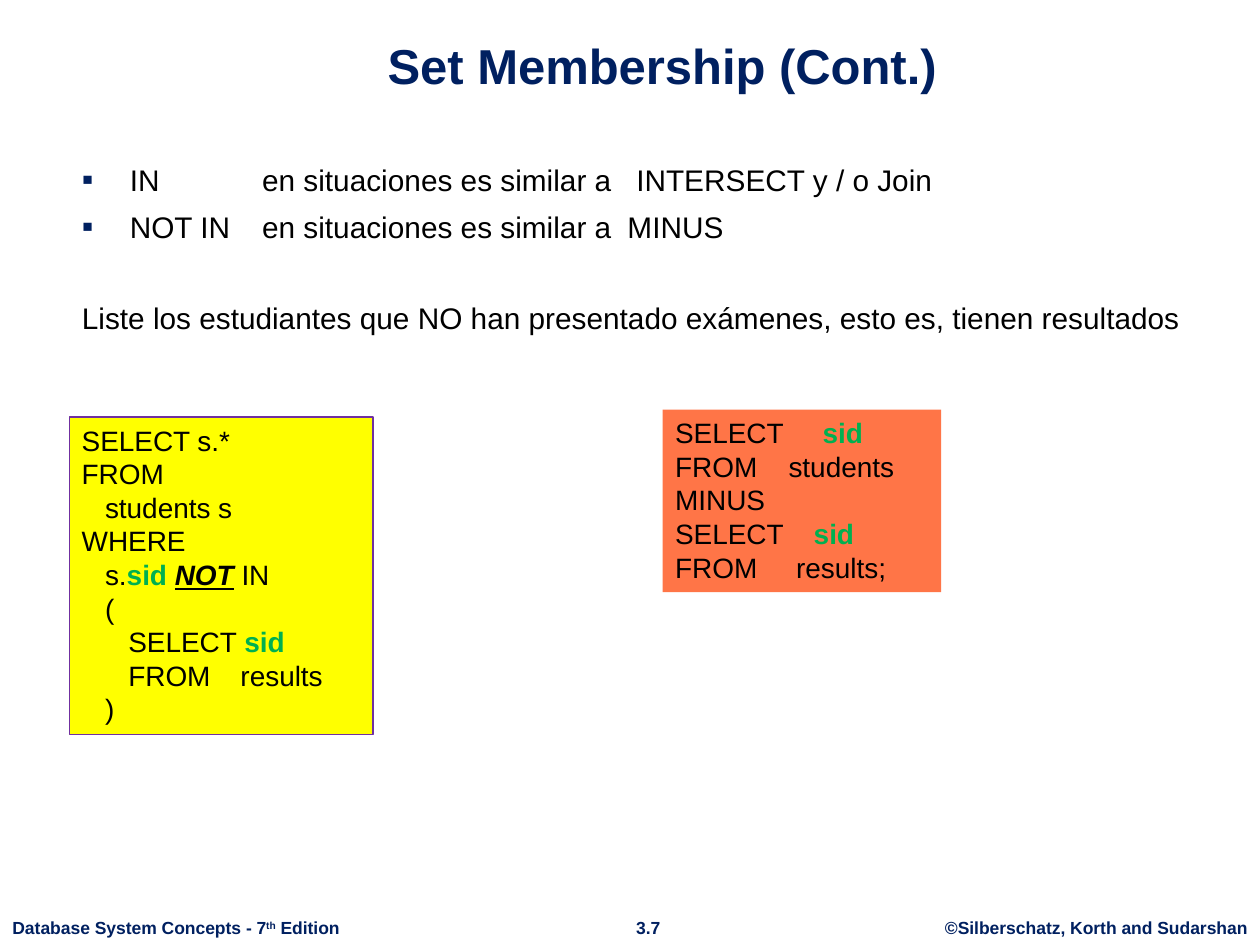
from dataclasses import dataclass
from lxml.etree import SubElement
from pptx import Presentation
from pptx.dml.color import RGBColor
from pptx.enum.shapes import MSO_SHAPE
from pptx.enum.text import MSO_ANCHOR, MSO_AUTO_SIZE, PP_ALIGN
from pptx.oxml.ns import qn
from pptx.util import Inches, Pt


@dataclass(frozen=True)
class Theme:
    font: str = "Arial"
    navy: str = "002060"
    black: str = "000000"
    green: str = "00B050"
    yellow: str = "FFFF00"
    orange: str = "FF7547"
    purple: str = "7030A0"
    title_size: int = 28
    body_size: int = 17
    code_size: int = 16
    footer_size: int = 10


theme = Theme()


def style(font, size, color, bold=False):
    font.name = theme.font
    font.size = Pt(size)
    font.bold = bold
    font.color.rgb = RGBColor.from_string(color)


def add_tabs(paragraph, positions):
    if positions:
        tab_list = SubElement(paragraph._p.get_or_add_pPr(), qn("a:tabLst"))
        for position in positions:
            SubElement(tab_list, qn("a:tab"), pos=str(Inches(position)), algn="l")


presentation = Presentation()
presentation.slide_width = Inches(10)
presentation.slide_height = Inches(7.5)
slide = presentation.slides.add_slide(presentation.slide_layouts[1])

title = slide.shapes.title
title.left, title.top, title.width, title.height = map(Inches, (0.84, 0.13, 8.83, 0.67))
title.text_frame.text = "Set Membership (Cont.)"
title.text_frame.vertical_anchor = MSO_ANCHOR.BOTTOM
title.text_frame.auto_size = MSO_AUTO_SIZE.NONE
paragraph = title.text_frame.paragraphs[0]
paragraph.alignment = PP_ALIGN.CENTER
style(paragraph.font, theme.title_size, theme.navy, True)

body = slide.placeholders[1]
body.left, body.top, body.width, body.height = map(Inches, (0.55, 1.23, 9.13, 5.54))
body.text_frame.auto_size = MSO_AUTO_SIZE.NONE
body_lines = [
    ("IN\ten situaciones es similar a\tINTERSECT y / o Join", "▪", 0.38, (1.43, 4.4), 6.5),
    ("NOT IN\ten situaciones es similar a\tMINUS", "▪", 0.38, (1.43, 4.33), 6.5),
    ("Liste los estudiantes que NO han presentado exámenes, esto es, tienen resultados",
     None, 0, (), 32),
]
body.text_frame.text = "\n".join(line[0] for line in body_lines)
for paragraph, (text, bullet, indent, tabs, space) in zip(body.text_frame.paragraphs, body_lines):
    paragraph.space_before = Pt(space)
    properties = paragraph._p.get_or_add_pPr()
    properties.set("marL", str(Inches(indent)))
    properties.set("indent", str(-Inches(indent)))
    if bullet:
        color = SubElement(properties, qn("a:buClr"))
        SubElement(color, qn("a:srgbClr"), val=theme.navy)
        SubElement(properties, qn("a:buSzPct"), val="110000")
        SubElement(properties, qn("a:buFont"), typeface=theme.font)
        SubElement(properties, qn("a:buChar"), char=bullet)
    else:
        SubElement(properties, qn("a:buNone"))
    add_tabs(paragraph, tabs)
    style(paragraph.font, theme.body_size, theme.black)

code_indent = 0.185
membership_query = [
    (0, (), ["SELECT s.*"]),
    (0, (), ["FROM"]),
    (1, (), ["students s"]),
    (0, (), ["WHERE"]),
    (1, (), ["s.", "sid ", "NOT", " IN"]),
    (1, (), ["("]),
    (2, (), ["SELECT ", "sid"]),
    (2, (0.89, 1.26), ["FROM\tresults"]),
    (1, (), [")"]),
]
minus_query = [
    (0, (1.17,), ["SELECT\t", "sid"]),
    (0, (0.9,), ["FROM\tstudents"]),
    (0, (), ["MINUS"]),
    (0, (1.1,), ["SELECT\t", "sid"]),
    (0, (0.96,), ["FROM\tresults;"]),
]
queries = [
    ((0.55, 3.31, 2.41, 2.52), theme.yellow, theme.purple, membership_query),
    ((5.26, 3.25, 2.21, 1.45), theme.orange, None, minus_query),
]
for box, fill, outline, lines in queries:
    shape = slide.shapes.add_shape(MSO_SHAPE.RECTANGLE, *map(Inches, box))
    shape.shadow.inherit = False
    shape.fill.solid()
    shape.fill.fore_color.rgb = RGBColor.from_string(fill)
    if outline:
        shape.line.color.rgb = RGBColor.from_string(outline)
        shape.line.width = Pt(0.75)
    else:
        shape.line.fill.background()
    frame = shape.text_frame
    frame.word_wrap = True
    frame.vertical_anchor = MSO_ANCHOR.TOP
    frame.text = "\n" * (len(lines) - 1)
    for paragraph, (level, tabs, pieces) in zip(frame.paragraphs, lines):
        paragraph.alignment = PP_ALIGN.LEFT
        if level:
            paragraph._p.get_or_add_pPr().set("marL", str(Inches(level * code_indent)))
        add_tabs(paragraph, tabs)
        style(paragraph.font, theme.code_size, theme.black)
        for piece in pieces:
            run = paragraph.add_run()
            run.text = piece
            if piece.strip() == "sid":
                run.font.bold = True
                run.font.color.rgb = RGBColor.from_string(theme.green)
            elif piece == "NOT":
                run.font.bold = run.font.italic = run.font.underline = True

footers = [
    (0, 2.81, PP_ALIGN.LEFT, ["Database System Concepts - 7", "th", " Edition"]),
    (4.9, 0.49, PP_ALIGN.CENTER, ["3.7"]),
    (7.4, 2.6, PP_ALIGN.CENTER, ["©Silberschatz, Korth and Sudarshan"]),
]
for left, width, alignment, pieces in footers:
    footer = slide.shapes.add_textbox(Inches(left), Inches(7.23), Inches(width), Inches(0.27))
    footer.text_frame.word_wrap = False
    paragraph = footer.text_frame.paragraphs[0]
    paragraph.alignment = alignment
    style(paragraph.font, theme.footer_size, theme.navy, True)
    for piece in pieces:
        run = paragraph.add_run()
        run.text = piece
        if piece == "th":
            run._r.get_or_add_rPr().set("baseline", "30000")

presentation.save("out.pptx")
